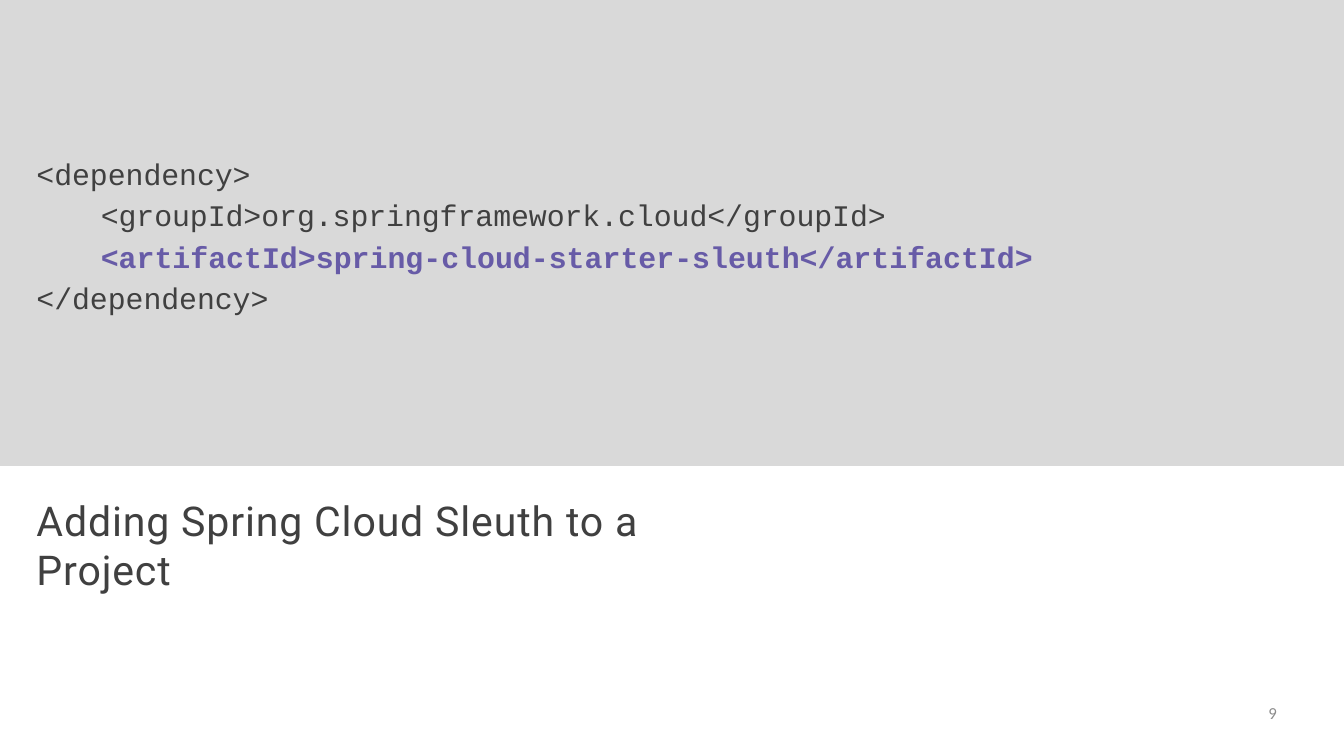
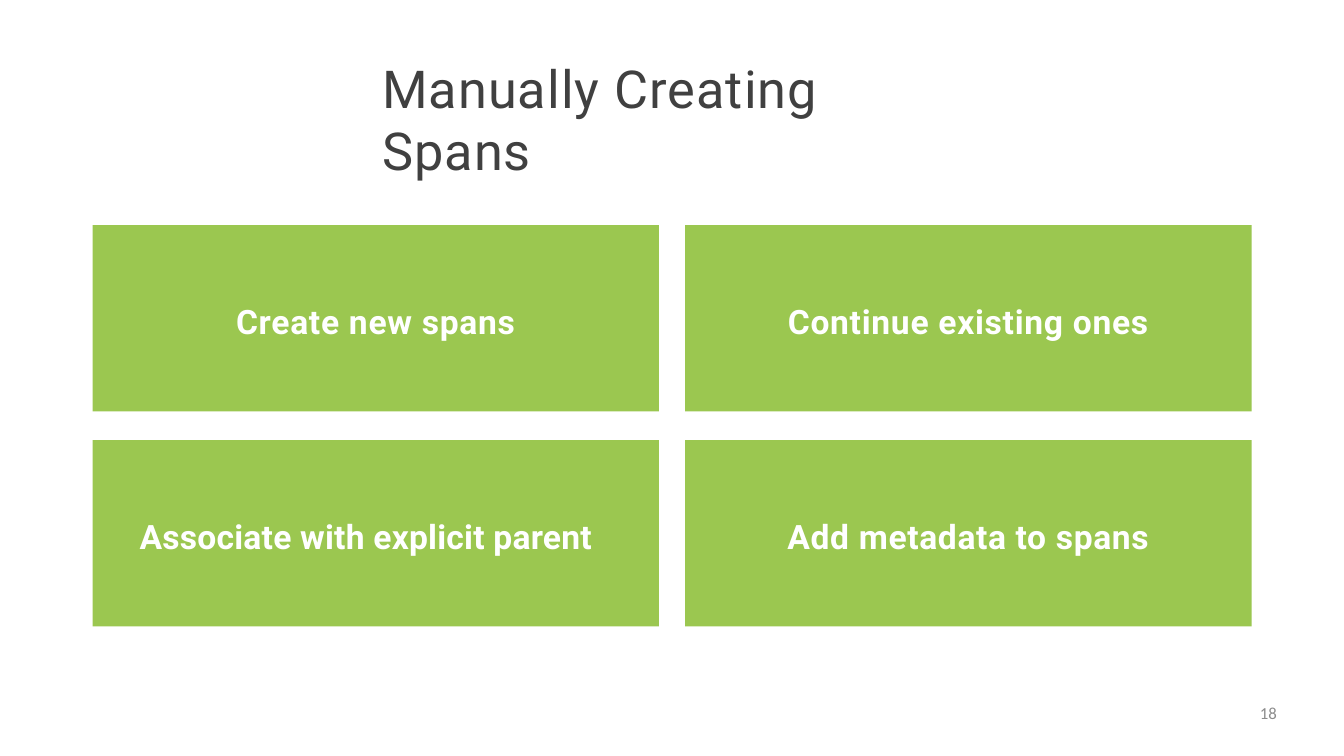
from dataclasses import dataclass
from itertools import product

from pptx import Presentation
from pptx.dml.color import RGBColor
from pptx.enum.shapes import MSO_SHAPE as Shape
from pptx.enum.text import MSO_ANCHOR as Anchor, PP_ALIGN as Align
from pptx.util import Cm, Pt


@dataclass(frozen=True)
class Theme:
    ink: str = "404040"
    purple: str = "675BA7"
    green: str = "9BC750"
    panel: str = "D9D9D9"
    white: str = "FFFFFF"
    muted: str = "8C8C8C"
    heading_font: str = "Roboto"
    code_font: str = "Courier New"
    number_font: str = "Calibri"
    title_size: int = 56
    caption_size: int = 44
    card_size: int = 36
    code_size: int = 32
    number_size: int = 18


theme = Theme()
TITLE = {"name": theme.heading_font, "color": theme.ink, "spacing": 0.9, "before": 1.1}
CAPTION = TITLE | {"size": theme.caption_size}
HEADLINE = TITLE | {"size": theme.title_size, "spacing": 1.1}
CODE = {"name": theme.code_font, "size": theme.code_size, "color": theme.ink,
        "spacing": -0.1, "before": 6}
CODE_ACCENT = CODE | {"color": theme.purple, "bold": True, "spacing": 0}
CARD = {"name": theme.heading_font, "size": theme.card_size, "color": theme.white,
        "bold": True, "align": Align.CENTER}
NUMBER = {"name": theme.number_font, "size": theme.number_size, "color": theme.muted,
          "align": Align.RIGHT}


def write(shape, lines, top=0, anchor=Anchor.TOP):
    """Fill a shape with (text, format, left indent in cm) lines."""
    frame = shape.text_frame
    frame.word_wrap = True
    frame_format = {"margin_left": 0, "margin_right": 0, "margin_top": Cm(top),
                    "margin_bottom": 0, "vertical_anchor": anchor}
    for name, value in frame_format.items():
        setattr(frame, name, value)
    for index, (text, style, indent) in enumerate(lines):
        paragraph = frame.add_paragraph() if index else frame.paragraphs[0]
        paragraph.alignment = style.get("align", Align.LEFT)
        paragraph.space_before = Pt(style.get("before", 0))
        properties = paragraph._p.get_or_add_pPr()
        properties.set("marL", str(Cm(indent)))
        properties.set("indent", "0")
        run = paragraph.add_run()
        run.text = text
        font_format = {"name": style["name"], "size": Pt(style["size"]),
                       "bold": style.get("bold", False)}
        for name, value in font_format.items():
            setattr(run.font, name, value)
        run.font.color.rgb = RGBColor.from_string(style["color"])
        run._r.get_or_add_rPr().set("spc", str(round(style.get("spacing", 0) * 100)))


def add_block(slide, left, top, width, height, color):
    block = slide.shapes.add_shape(Shape.RECTANGLE, Cm(left), Cm(top), Cm(width), Cm(height))
    block.shadow.inherit = False
    block.fill.solid()
    block.fill.fore_color.rgb = RGBColor.from_string(color)
    block.line.fill.background()
    return block


presentation = Presentation()
slide_width, slide_height = 50.8, 28.58
presentation.slide_width = Cm(slide_width)
presentation.slide_height = Cm(slide_height)
blank = presentation.slide_layouts[6]
code_slide = presentation.slides.add_slide(blank)
spans_slide = presentation.slides.add_slide(blank)

# Code panel above, caption band below
panel_height = 17.62
add_block(code_slide, 0, 0, slide_width, panel_height, theme.panel)
add_block(code_slide, 0, panel_height, slide_width, slide_height - panel_height, theme.white)

text_left, code_indent = 1.35, 2.46
code_lines = [
    ("<groupId>org.springframework.cloud</groupId>", CODE | {"before": 7}, code_indent),
    ("<artifactId>spring-cloud-starter-sleuth</artifactId>", CODE_ACCENT, code_indent),
    ("</dependency>", CODE, 0.03),
]

# Text boxes: slide, left, top, width, height, top margin, lines
text_boxes = [
    (code_slide, text_left, 18.69, 27.51, 1.93, 0.03,
     [("Adding Spring Cloud Sleuth to a Project", CAPTION, 0.03)]),
    (code_slide, text_left, 5.84, 8.2, 1.42, 0.03,
     [("<dependency>", CODE | {"before": 1}, 0.03)]),
    (code_slide, text_left, 7.19, 37.82, 4.78, 0.25, code_lines),
    (spans_slide, 14.4, 2.08, 22, 2.44, 0.03,
     [("Manually Creating Spans", HEADLINE, 0.05)]),
]
for slide, number in ((code_slide, "9"), (spans_slide, "18")):
    text_boxes.append((slide, 36.58, 26.57, 11.68, 1.42, 0, [(number, NUMBER, 0)]))

for slide, left, top, width, height, margin, lines in text_boxes:
    box = slide.shapes.add_textbox(Cm(left), Cm(top), Cm(width), Cm(height))
    write(box, lines, margin)

# Two by two grid of cards
card_width, card_height = 21.41, 7.04
grid_left, grid_top = 3.5, 8.51
column_step, row_step = 22.4, 8.13
cards = [
    ("Create new spans", CARD | {"spacing": 0.8}, 0),
    ("Continue existing ones", CARD | {"spacing": 0.8}, 0),
    ("Associate with explicit parent", CARD | {"spacing": 0.25, "align": Align.LEFT}, 1.78),
    ("Add metadata to spans", CARD | {"spacing": 0.7}, 0),
]
for (row, column), card_line in zip(product(range(2), repeat=2), cards):
    card = add_block(spans_slide, grid_left + column * column_step, grid_top + row * row_step,
                     card_width, card_height, theme.green)
    write(card, [card_line], top=0.23, anchor=Anchor.MIDDLE)

presentation.save("out.pptx")
